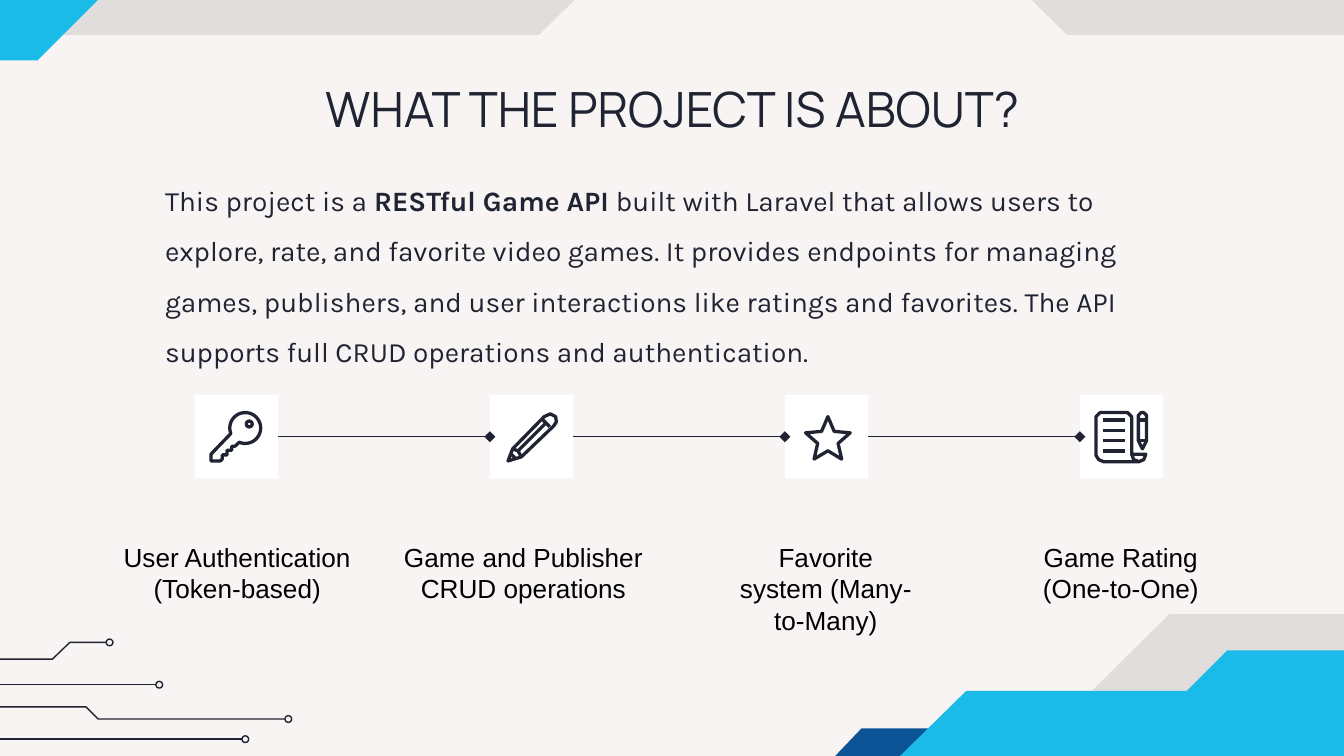
from math import cos, radians, sin

from lxml.etree import SubElement
from pptx import Presentation
from pptx.dml.color import RGBColor
from pptx.enum.shapes import MSO_CONNECTOR, MSO_SHAPE
from pptx.enum.text import MSO_ANCHOR, MSO_AUTO_SIZE, PP_ALIGN
from pptx.oxml.ns import qn
from pptx.util import Inches, Pt

COLUMNS, ROWS = 100, 56.25
COLORS = {"paper": "F8F4F4", "ink": "202331", "sky": "1BBBE9", "navy": "0B5394",
          "shade": "000000", "tile": "FFFFFF", "label": "000000"}

SHADE_BANDS = [
    [(87, 45.7), (75.8, 56.8), (72.6, 56.8), (72.6, 62.5), (103.3, 62.5), (103.3, 45.7)],
    [(79.4, 2.6), (68.2, -8.4), (51.3, -8.4), (40.1, 2.6), (-1.2, 2.6), (-1.2, -18),
     (101.2, -18), (101.2, 2.6)],
]
NAVY_BAND = [(62.1, 56.3), (64.1, 54.2), (73.1, 54.2), (71.1, 56.3)]
SKY_BANDS = [
    [(114.8, 48.4), (114.8, 81.4), (58.9, 81.4), (58.9, 57.2), (66, 57.2), (71.9, 51.4),
     (88.3, 51.4), (91.3, 48.4)],
    [(2.8, 4.5), (14, -6.7), (17.2, -6.7), (17.2, -12.4), (-13.4, -12.4), (-13.4, 4.5)],
]
CIRCUITS = [
    [(-5, 50.95), (11.6, 50.95)],
    [(-8.7, 49.05), (3.9, 49.05), (5.2, 47.8), (7.9, 47.8)],
    [(-11.9, 52.6), (6.4, 52.6), (7.3, 53.5), (21.2, 53.5)],
    [(-14.4, 55), (18, 55)],
]
LABELS = [
    (7.9, 19.5, ["User Authentication (Token-based)"]),
    (28.8, 20.3, ["Game and Publisher CRUD operations"]),
    (53.6, 15.7, ["Favorite system (Many-to-Many)"]),
    (76.4, 14, ["Game Rating", "(One-to-One)"]),
]
SUMMARY = [
    ("This project is a ", False),
    ("RESTful Game API", True),
    (" built with Laravel that allows users to explore, rate, and favorite video games. "
     "It provides endpoints for managing games, publishers, and user interactions like "
     "ratings and favorites. The API supports full CRUD operations and authentication.", False),
]
TILE, TILE_LEFT, TILE_TOP, TILE_PITCH = 6.2, 14.5, 29.4, 21.95


def arc(x, y, radius, start, end, steps):
    """Return evenly spaced points along a circular arc, in degrees."""
    angles = [radians(start + (end - start) * i / steps) for i in range(steps + 1)]
    return [(x + radius * cos(a), y + radius * sin(a)) for a in angles]


def icon_contours():
    """Return the contours of the key, pencil, star and scroll."""
    key = arc(3.75, 2.45, 1.15, 159, 473, 30) + [
        (3, 3.8), (2.75, 3.8), (2.75, 4.1), (2.4, 4.1), (2.4, 4.45), (2.05, 4.45),
        (2.05, 4.75), (1.9, 4.9), (1.2, 4.9), (1.2, 4.4)]
    key_hole = arc(4.05, 2.15, 0.22, 0, 360, 12)
    pencil = [(1.35, 4.9), (1.7, 4), (4.05, 1.6), (4.5, 1.4), (4.9, 1.6), (4.95, 2),
              (4.75, 2.3), (2.35, 4.6), (1.35, 4.9)]
    pencil_marks = [[(3.9, 1.8), (4.45, 2.35)], [(2.1, 4.15), (4.2, 2.05)],
                    [(1.7, 4), (2.1, 4.15), (2.35, 4.6)], [(1.6, 4.4), (1.9, 4.7)]]
    outer = arc(3.2, 3.35, 1.75, -90, 270, 5)
    inner = arc(3.2, 3.35, 0.8, -54, 306, 5)
    star = [point for pair in zip(outer[:5], inner) for point in pair] + outer[:1]
    scroll = [(3.85, 4.4), (3.85, 1.6), (3.55, 1.3), (1.5, 1.3), (1.2, 1.6), (1.2, 4.5),
              (1.4, 4.8), (1.75, 4.95), (4.4, 4.95), (4.75, 4.8), (4.9, 4.4), (3.85, 4.4),
              (4, 4.8), (4.4, 4.95)]
    pen = [(4.35, 3.4), (4.35, 1.5), (4.55, 1.3), (4.75, 1.3), (4.95, 1.5), (4.95, 3.4),
           (4.65, 4), (4.35, 3.4)]
    text_rows = [[(1.75, 1.85 + 0.77 * i), (3.35, 1.85 + 0.77 * i)] for i in range(4)]
    pen_marks = [[(4.35, y), (4.95, y)] for y in (1.85, 3.4)]
    return [[key + key[:1], key_hole], [pencil, *pencil_marks], [star],
            [scroll, pen, *text_rows, *pen_marks]]


def apply(target, values):
    """Set each named attribute of the target."""
    for name, value in values.items():
        setattr(target, name, value)


class Board:
    """Holds the colours, the grid and the current page."""

    def __init__(self, deck):
        """Add a title-only page with a plain background."""
        apply(deck, {"slide_width": Inches(COLUMNS / 10), "slide_height": Inches(ROWS / 10)})
        self.unit = deck.slide_width / COLUMNS
        self.page = deck.slides.add_slide(deck.slide_layouts[5])
        self.shapes = self.page.shapes
        self.paint(self.page.background.fill, "paper")

    def span(self, *cells):
        """Turn grid cells into lengths."""
        return [round(cell * self.unit) for cell in cells]

    def color(self, name):
        """Return the named colour."""
        return RGBColor.from_string(COLORS[name])

    def paint(self, fill, name):
        """Make a fill solid in the named colour."""
        fill.solid()
        fill.fore_color.rgb = self.color(name)

    def stroke(self, shape, width=0.75):
        """Give a shape or connector an ink line with round joins."""
        shape.line.width = Pt(width)
        self.paint(shape.line.fill, "ink")
        SubElement(shape.line._ln, qn("a:round"))

    def outline(self, contours, fill=None, alpha=None, width=0.75):
        """Draw a filled band, or a stroked outline when no fill is given."""
        first, *others = [[self.span(*point) for point in contour] for contour in contours]
        builder = self.shapes.build_freeform(*first[0])
        builder.add_line_segments(first[1:], close=bool(fill))
        for contour in others:
            builder.move_to(*contour[0])
            builder.add_line_segments(contour[1:], close=False)
        shape = builder.convert_to_shape()
        shape.shadow.inherit = False
        if fill:
            self.paint(shape.fill, fill)
            shape.line.fill.background()
        else:
            shape.fill.background()
            self.stroke(shape, width)
        if alpha:
            tint = shape._element.spPr.find(".//" + qn("a:srgbClr"))
            SubElement(tint, qn("a:alpha"), val=str(alpha * 1000))

    def connector(self, start, end):
        """Draw a straight ink line."""
        line = self.shapes.add_connector(
            MSO_CONNECTOR.STRAIGHT, *self.span(*start), *self.span(*end))
        self.stroke(line)
        SubElement(line._element.spPr, qn("a:effectLst"))
        return line

    def circuit(self, points):
        """Draw a circuit trace that ends in a ring."""
        if len(points) == 2:
            self.connector(*points)
        else:
            self.outline([points])
        x, y = points[-1]
        ring = self.shapes.add_shape(MSO_SHAPE.OVAL, *self.span(x, y - 0.25, 0.5, 0.5))
        ring.shadow.inherit = False
        ring.fill.background()
        self.stroke(ring)

    def tile(self, left, top):
        """Draw a white square tile."""
        box = self.shapes.add_shape(
            MSO_SHAPE.ROUNDED_RECTANGLE, *self.span(left, top, TILE, TILE))
        box.adjustments[0] = 0
        box.shadow.inherit = False
        self.paint(box.fill, "tile")
        box.line.fill.background()
        return box

    def link(self, source, target):
        """Join two tiles with a diamond-ended line."""
        line = self.connector((0, 0), (1, 1))
        line.begin_connect(source, 3)
        line.end_connect(target, 1)
        SubElement(line.line._ln, qn("a:tailEnd"), type="diamond")

    def set_text(self, box, paragraphs, font, color, para_format, inset=0.1, **frame_format):
        """Fill a box with paragraphs of (text, bold) spans."""
        frame = box.text_frame
        margins = {"margin_left": Inches(0.1), "margin_right": Inches(0.1),
                   "margin_top": Inches(inset), "margin_bottom": Inches(inset)}
        apply(frame, {"word_wrap": True, **margins, **frame_format})
        for index, spans in enumerate(paragraphs):
            para = frame.add_paragraph() if index else frame.paragraphs[0]
            apply(para, para_format)
            for text, bold in spans:
                span = para.add_run()
                span.text = text
                apply(span.font, {**font, "bold": bold})
                span.font.color.rgb = self.color(color)

    def title(self, text, cells):
        """Place and fill the title."""
        box = self.shapes.title
        apply(box, dict(zip(("left", "top", "width", "height"), self.span(*cells))))
        self.set_text(box, [[(text, False)]], {"name": "Manrope", "size": Pt(26)}, "ink",
                      {"alignment": PP_ALIGN.CENTER}, vertical_anchor=MSO_ANCHOR.TOP,
                      auto_size=MSO_AUTO_SIZE.NONE)

    def summary(self, spans, cells):
        """Add the body paragraph."""
        self.set_text(self.shapes.add_textbox(*self.span(*cells)), [spans],
                      {"name": "Karla", "size": Pt(15)}, "ink", {"line_spacing": 1.5},
                      vertical_anchor=MSO_ANCHOR.MIDDLE)

    def label(self, lines, cells):
        """Add a centred caption."""
        self.set_text(self.shapes.add_textbox(*self.span(*cells)),
                      [[(line, False)] for line in lines], {"name": "Arial", "size": Pt(14)},
                      "label", {"alignment": PP_ALIGN.CENTER}, inset=0.05,
                      auto_size=MSO_AUTO_SIZE.SHAPE_TO_FIT_TEXT)


def main():
    """Build the project overview page."""
    deck = Presentation()
    board = Board(deck)
    for band in SHADE_BANDS:
        board.outline([band], "shade", alpha=9)
    board.outline([NAVY_BAND], "navy")
    for band in SKY_BANDS:
        board.outline([band], "sky")
    for points in CIRCUITS:
        board.circuit(points)
    board.title("WHAT THE PROJECT IS ABOUT?", (7.9, 4.9, 84.3, 6.3))
    board.summary(SUMMARY, (11.3, 12.5, 75.8, 14.8))
    lefts = [TILE_LEFT + TILE_PITCH * i for i in range(len(LABELS))]
    tiles = [board.tile(left, TILE_TOP) for left in lefts]
    for source, target in zip(tiles, tiles[1:]):
        board.link(source, target)
    for left, contours, (label_left, width, lines) in zip(lefts, icon_contours(), LABELS):
        board.outline([[(left + x, TILE_TOP + y) for x, y in contour] for contour in contours],
                      width=1.75)
        board.label(lines, (label_left, 39.8, width, 5.7))
    deck.save("out.pptx")


if __name__ == "__main__":
    main()
